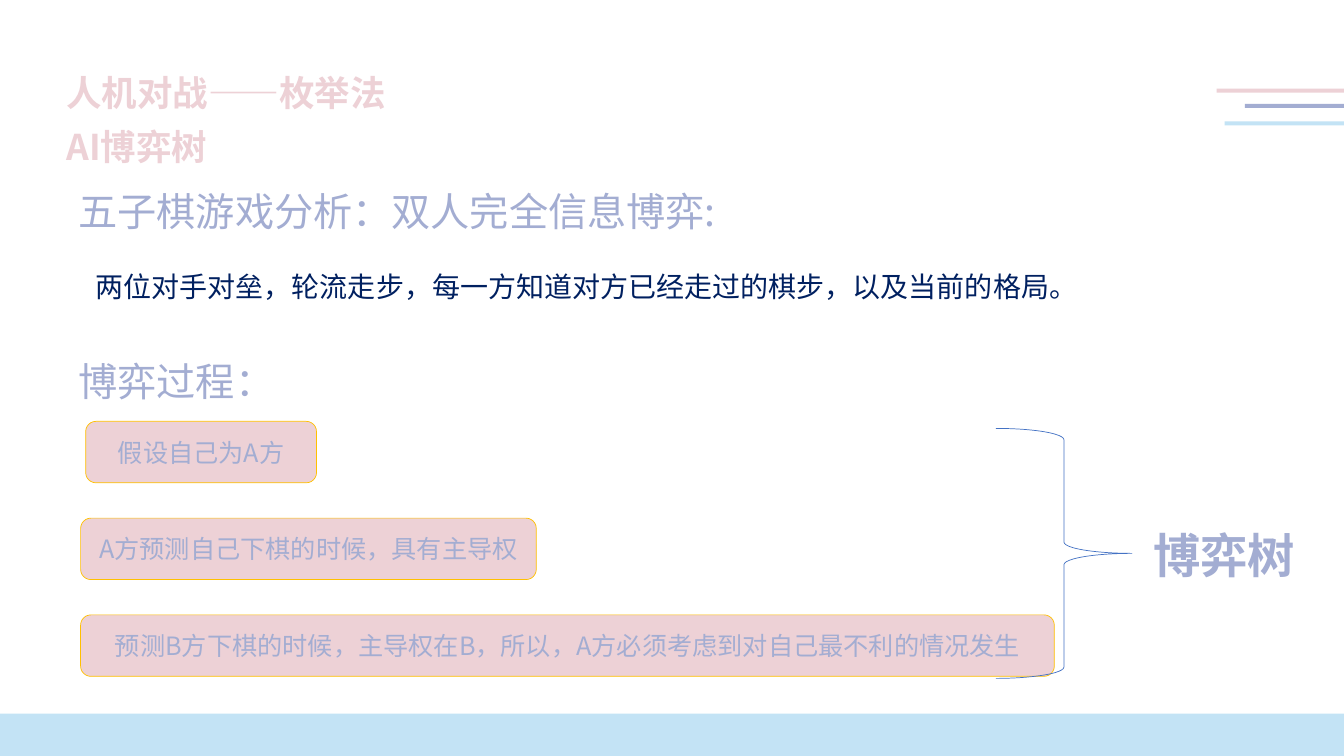
from dataclasses import dataclass

from lxml.etree import SubElement
from pptx import Presentation
from pptx.dml.color import RGBColor
from pptx.enum.shapes import MSO_SHAPE
from pptx.enum.text import MSO_ANCHOR, MSO_AUTO_SIZE, PP_ALIGN
from pptx.oxml.ns import qn
from pptx.util import Inches, Pt

PINK = RGBColor(0xED, 0xD1, 0xD6)
LAVENDER = RGBColor(0xA3, 0xAD, 0xD2)
SKY = RGBColor(0xC3, 0xE3, 0xF5)
NAVY = RGBColor(0x00, 0x20, 0x60)
GOLD = RGBColor(0xFF, 0xC0, 0x00)
BLUE = RGBColor(0x44, 0x72, 0xC4)
FONT = "Noto Sans CJK SC"
COLUMNS, ROWS = 133.33, 75

deck = Presentation()
deck.slide_width, deck.slide_height = Inches(13.333), Inches(7.5)
COL, ROW = deck.slide_width / COLUMNS, deck.slide_height / ROWS
slide = deck.slides.add_slide(deck.slide_layouts[6])


@dataclass
class Box:
    x: float
    y: float
    w: float
    h: float

    def inner(self, x, y, w, h):
        return Box(self.x + x, self.y + y, w, h)

    def emu(self):
        return [round(v) for v in (self.x * COL, self.y * ROW, self.w * COL, self.h * ROW)]


def write(frame, words, size, color, bold=False, align=PP_ALIGN.LEFT, spacing=None):
    frame.text = words
    frame.word_wrap = True
    paragraph = frame.paragraphs[0]
    paragraph.alignment = align
    if spacing:
        paragraph.line_spacing = spacing
    font = paragraph.runs[0].font
    font.name, font.size, font.bold = FONT, Pt(size), bold
    font.color.rgb = color
    SubElement(paragraph.runs[0].font._element, qn("a:ea")).set("typeface", FONT)


def add_label(box, words, size, color, **style):
    frame = slide.shapes.add_textbox(*box.emu()).text_frame
    write(frame, words, size, color, **style)
    frame.auto_size = MSO_AUTO_SIZE.SHAPE_TO_FIT_TEXT
    return frame


def add_heading(box, words, size, color, **style):
    frame = add_label(box, words, size, color, spacing=1.16, **style)
    frame.vertical_anchor = MSO_ANCHOR.MIDDLE
    frame.margin_left = frame.margin_right = frame.margin_top = frame.margin_bottom = 0


def add_figure(kind, box, fill=None, line=None):
    figure = slide.shapes.add_shape(kind, *box.emu())
    figure.shadow.inherit = False
    if fill is None:
        figure.fill.background()
    else:
        figure.fill.solid()
        figure.fill.fore_color.rgb = fill
    if line is None:
        figure.line.fill.background()
    else:
        figure.line.color.rgb = line
        figure.line.width = Pt(0.5)
    return figure


def decorate(box):
    footer = add_figure(MSO_SHAPE.ROUNDED_RECTANGLE, box.inner(-0.7, 70.8, box.w + 1.4, 4.2), SKY)
    footer.adjustments[0] = 0.15
    for x, y, color in ((120.7, 8.8, PINK), (123.5, 10.3, LAVENDER), (121.5, 12.05, SKY)):
        add_figure(MSO_SHAPE.RECTANGLE, box.inner(x, y, 12.7, 0.4), color)


def add_titles(box):
    for row, words in enumerate(("人机对战——枚举法", "AI博弈树")):
        add_heading(box.inner(0, row * 5.4, box.w, 4.6), words, 25.3, PINK, bold=True)


def add_analysis(box):
    add_heading(box.inner(-14.9, 0, 92.6, 5.1), "五子棋游戏分析：双人完全信息博弈:",
                28, LAVENDER, align=PP_ALIGN.CENTER)
    add_label(box.inner(0.5, 8.2, 116.2, 4.4),
              "两位对手对垒，轮流走步，每一方知道对方已经走过的棋步，以及当前的格局。", 20, NAVY)


def add_process(box):
    frame = add_label(box.inner(-24.7, 0, 68.4, 6.1), "博弈过程：", 28, LAVENDER,
                      align=PP_ALIGN.CENTER, spacing=1.16)
    frame.vertical_anchor = MSO_ANCHOR.TOP
    steps = (
        (0.5, 22.9, "假设自己为A方"),
        (0, 45.2, "A方预测自己下棋的时候，具有主导权"),
        (0, 96.6, "预测B方下棋的时候，主导权在B，所以，A方必须考虑到对自己最不利的情况发生"),
    )
    for row, (x, width, words) in enumerate(steps):
        step = add_figure(MSO_SHAPE.ROUNDED_RECTANGLE,
                          box.inner(x, 7.6 + row * 9.6, width, 6.1), PINK, GOLD)
        write(step.text_frame, words, 18, LAVENDER, align=PP_ALIGN.CENTER)
        step.text_frame.vertical_anchor = MSO_ANCHOR.MIDDLE


def add_conclusion(box):
    add_figure(MSO_SHAPE.RIGHT_BRACE, box.inner(0, 0, 13.5, box.h), line=BLUE)
    add_heading(box.inner(0.8, 9, 43.7, 6.2), "博弈树", 33.8, LAVENDER,
                bold=True, align=PP_ALIGN.CENTER)


decorate(Box(0, 0, COLUMNS, ROWS))
add_titles(Box(6.6, 6.5, 53.4, 10))
add_analysis(Box(8, 18, 116.7, 12.6))
add_process(Box(8, 34.2, 96.6, 32.9))
add_conclusion(Box(98.8, 42.5, 34.5, 24.8))
deck.save("out.pptx")
